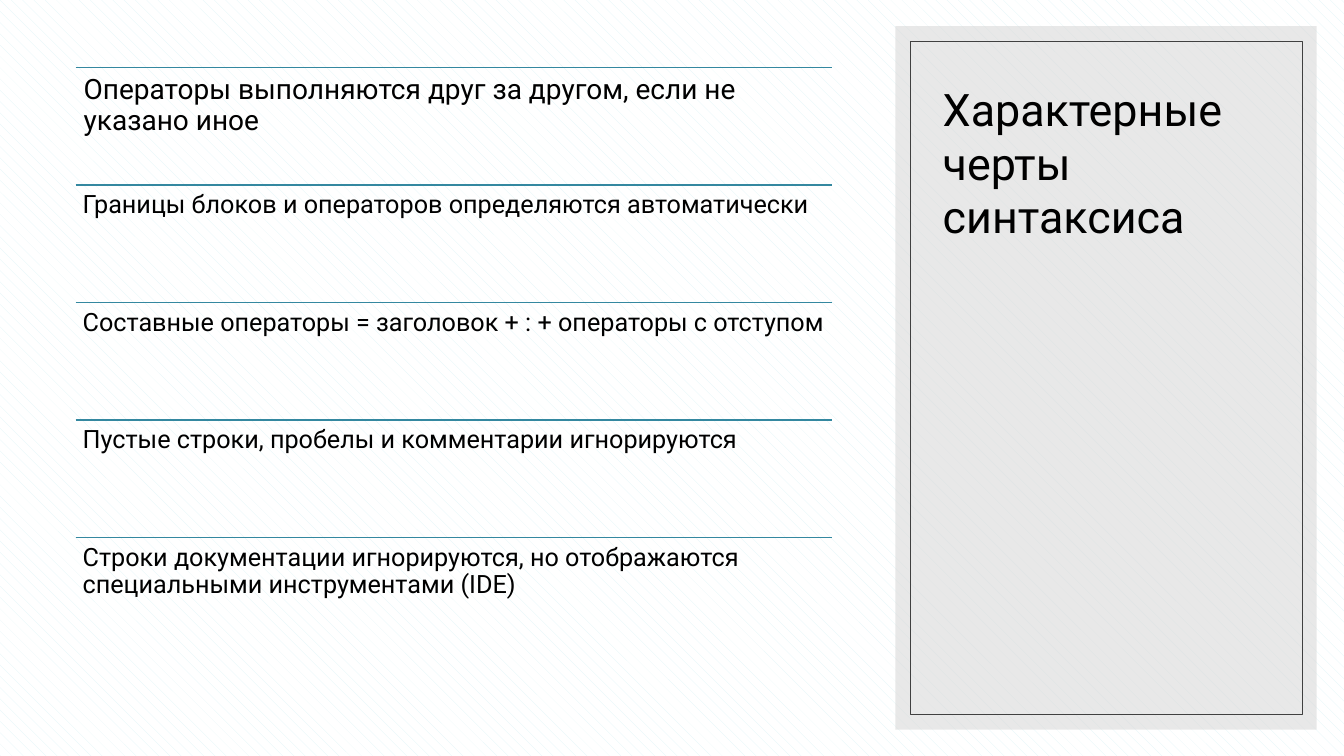
from dataclasses import dataclass

from lxml.etree import SubElement
from pptx import Presentation
from pptx.dml.color import RGBColor
from pptx.enum.dml import MSO_PATTERN
from pptx.enum.shapes import MSO_CONNECTOR, MSO_SHAPE
from pptx.enum.text import MSO_ANCHOR, MSO_AUTO_SIZE, PP_ALIGN
from pptx.oxml.ns import qn
from pptx.util import Inches, Pt


@dataclass(frozen=True)
class Theme:
    font: str = "Roboto"
    ink: str = "000000"
    rule: str = "3488A0"
    panel: str = "D9D9D9"
    frame: str = "404040"
    weave: str = "DEF4F7"
    paper: str = "FFFFFF"
    head: int = 32
    lead: int = 20
    body: int = 18


THEME = Theme()

TITLE = "Характерные черты синтаксиса"
# Text, type size, inset
TRAITS = [
    ("Операторы выполняются друг за другом, если не указано иное", THEME.lead, 0.08),
    ("Границы блоков и операторов определяются автоматически", THEME.body, 0.07),
    ("Составные операторы = заголовок + : + операторы с отступом", THEME.body, 0.07),
    ("Пустые строки, пробелы и комментарии игнорируются", THEME.body, 0.07),
    ("Строки документации игнорируются, но отображаются "
     "специальными инструментами (IDE)", THEME.body, 0.07),
]

# List area, split into equal rows
LEFT, TOP, WIDTH, HEIGHT = 0.75, 0.67, 7.5, 5.83


def color(code):
    return RGBColor.from_string(code)


def add_run(para, text, size):
    run = para.add_run()
    run.text = text
    run.font.name = THEME.font
    run.font.size = Pt(size)
    run.font.color.rgb = color(THEME.ink)


def set_back(slide):
    fill = slide.background.fill
    fill.patterned()
    fill.pattern = MSO_PATTERN.SHINGLE
    fill.fore_color.rgb = color(THEME.weave)
    fill.back_color.rgb = color(THEME.paper)


def add_rect(slide, box):
    rect = slide.shapes.add_shape(MSO_SHAPE.RECTANGLE, *map(Inches, box))
    rect.shadow.inherit = False
    return rect


def add_panel(slide):
    panel = add_rect(slide, (8.88, 0.26, 4.18, 6.98))
    panel.fill.solid()
    panel.fill.fore_color.rgb = color(THEME.panel)
    panel.line.fill.background()
    tint = panel.element.spPr.find(qn("a:solidFill"))[0]
    SubElement(tint, qn("a:alpha"), val="60000")

    frame = add_rect(slide, (9.03, 0.41, 3.89, 6.68))
    frame.fill.background()
    frame.line.color.rgb = color(THEME.frame)
    frame.line.width = Pt(0.5)
    return frame


def set_title(slide, frame):
    title = slide.shapes.title
    title.left, title.top = Inches(9.25), Inches(0.66)
    title.width, title.height = Inches(3.46), Inches(1.8)
    text = title.text_frame
    text.auto_size = MSO_AUTO_SIZE.NONE
    text.word_wrap = True
    text.vertical_anchor = MSO_ANCHOR.BOTTOM
    para = text.paragraphs[0]
    para.alignment = PP_ALIGN.LEFT
    add_run(para, TITLE, THEME.head)
    # Bring the title in front of the panel
    frame.element.addnext(title.element)


def add_rule(shapes, top):
    rule = shapes.add_connector(MSO_CONNECTOR.STRAIGHT, Inches(LEFT), Inches(top),
                                Inches(LEFT + WIDTH), Inches(top))
    rule.line.color.rgb = color(THEME.rule)
    rule.line.width = Pt(1)
    SubElement(rule.element.spPr, qn("a:effectLst"))


def add_trait(shapes, top, height, words, size, inset):
    box = shapes.add_textbox(Inches(LEFT), Inches(top), Inches(WIDTH), Inches(height))
    text = box.text_frame
    text.word_wrap = True
    text.margin_left = text.margin_right = Inches(inset)
    text.margin_top = text.margin_bottom = Inches(inset)
    para = text.paragraphs[0]
    para.line_spacing = 0.9
    add_run(para, words, size)


def add_list(slide):
    shapes = slide.shapes.add_group_shape().shapes
    step = HEIGHT / len(TRAITS)
    for row, (words, size, inset) in enumerate(TRAITS):
        top = TOP + row * step
        add_rule(shapes, top)
        add_trait(shapes, top, step, words, size, inset)


def main():
    deck = Presentation()
    deck.slide_width, deck.slide_height = Inches(13.33), Inches(7.5)
    slide = deck.slides.add_slide(deck.slide_layouts[5])
    set_back(slide)
    # Title panel on the right
    frame = add_panel(slide)
    set_title(slide, frame)
    # Ruled list on the left
    add_list(slide)
    deck.save("out.pptx")


if __name__ == "__main__":
    main()
